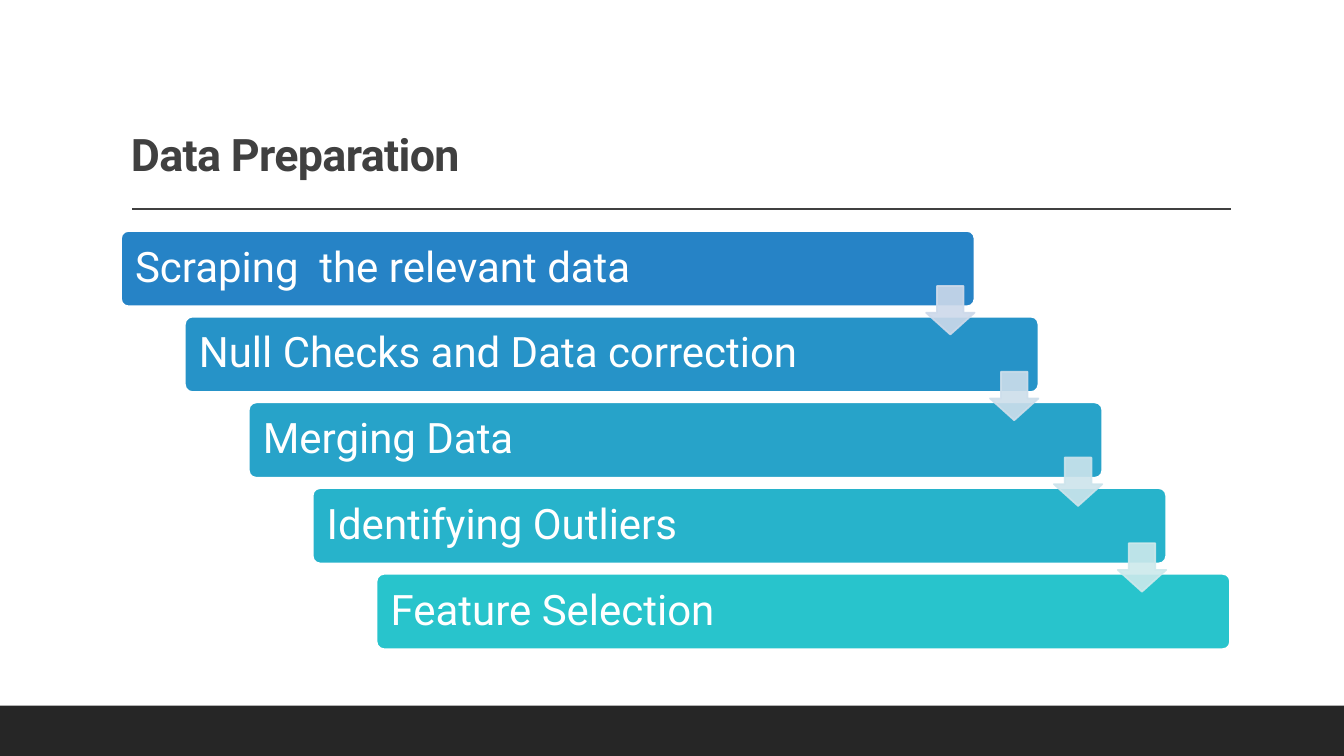
"""Build the Data Preparation slide with its staircase of steps."""
from dataclasses import dataclass

from lxml import etree
from pptx import Presentation
from pptx.dml.color import RGBColor
from pptx.enum import shapes, text
from pptx.oxml import ns
from pptx.shapes.autoshape import Shape
from pptx.slide import Slide
from pptx.util import Cm, Pt


@dataclass(frozen=True)
class Theme:
    """Colours and type sizes of the slide."""

    font: str = "Roboto"
    title_size: float = 32
    step_size: float = 30
    outline: float = 1.25
    rule: float = 1
    white: str = "FFFFFF"
    title: str = "404040"
    footer: str = "262626"
    arrow_opacity: int = 90


@dataclass(frozen=True)
class Step:
    """One bar of the staircase and the arrow leaving it."""

    label: str
    colour: str
    arrow_colour: str | None = None


@dataclass(frozen=True)
class Box:
    """Position and size in centimetres."""

    left: float
    top: float
    width: float
    height: float

    def shifted(self, right: float, down: float) -> "Box":
        """Return the box moved by the given distances."""
        return Box(self.left + right, self.top + down, self.width, self.height)

    def lengths(self) -> tuple[Cm, Cm, Cm, Cm]:
        """Return the four lengths that python-pptx expects."""
        return Cm(self.left), Cm(self.top), Cm(self.width), Cm(self.height)


THEME = Theme()
STEPS = (
    Step("Scraping  the relevant data", "2683C6", "CDD9EA"),
    Step("Null Checks and Data correction", "2693C8", "CDDEEB"),
    Step("Merging Data", "27A3C9", "CDE4EC"),
    Step("Identifying Outliers", "27B3CB", "CDE9EC"),
    Step("Feature Selection", "28C4CC"),
)
TITLE = Box(3.05, 0.8, 27.94, 3.9)
FOOTER = Box(0, 17.78, 33.87, 1.27)
FIRST_BAR = Box(3.05, 5.82, 21.51, 1.9)
FIRST_ARROW = Box(23.34, 7.21, 1.22, 1.22)
STEP_RIGHT, STEP_DOWN = 1.61, 2.16


def add_filled(slide: Slide, kind: shapes.MSO_SHAPE, box: Box, fill: str,
               line: str | None = None) -> Shape:
    """Add a flat preset shape with an optional outline."""
    shape = slide.shapes.add_shape(kind, *box.lengths())
    shape.shadow.inherit = False
    shape.fill.solid()
    shape.fill.fore_color.rgb = RGBColor.from_string(fill)
    if line:
        shape.line.color.rgb = RGBColor.from_string(line)
        shape.line.width = Pt(THEME.outline)
    else:
        shape.line.fill.background()
    return shape


def write(shape: Shape, words: str, size: float, colour: str, bold: bool = False) -> None:
    """Write one left-aligned paragraph into a shape."""
    shape.text_frame.word_wrap = True
    paragraph = shape.text_frame.paragraphs[0]
    paragraph.text = words
    paragraph.alignment = text.PP_ALIGN.LEFT
    paragraph.line_spacing = 0.9
    paragraph.font.name = THEME.font
    paragraph.font.size = Pt(size)
    paragraph.font.bold = bold
    paragraph.font.color.rgb = RGBColor.from_string(colour)


def add_title(slide: Slide, words: str) -> None:
    """Add the tightly spaced heading and the rule below it."""
    title = slide.shapes.add_textbox(*TITLE.lengths())
    title.text_frame.vertical_anchor = text.MSO_ANCHOR.BOTTOM
    write(title, words, THEME.title_size, THEME.title, bold=True)
    run = title.text_frame.paragraphs[0].runs[0]
    run._r.get_or_add_rPr().set("spc", "-50")
    rule = slide.shapes.add_connector(
        shapes.MSO_CONNECTOR.STRAIGHT, Cm(3.33), Cm(5.27), Cm(31.01), Cm(5.27))
    rule.line.color.rgb = RGBColor.from_string(THEME.title)
    rule.line.width = Pt(THEME.rule)
    etree.SubElement(rule._element.spPr, ns.qn("a:effectLst"))


def add_bar(slide: Slide, step: Step, box: Box) -> None:
    """Add one labelled bar."""
    bar = add_filled(slide, shapes.MSO_SHAPE.ROUNDED_RECTANGLE, box, step.colour, THEME.white)
    bar.adjustments[0] = 0.1
    frame = bar.text_frame
    frame.margin_left = frame.margin_right = Cm(0.3)
    frame.margin_top = frame.margin_bottom = Cm(0.3)
    frame.vertical_anchor = text.MSO_ANCHOR.MIDDLE
    write(bar, step.label, THEME.step_size, THEME.white)


def add_arrow(slide: Slide, colour: str, box: Box) -> None:
    """Add one translucent down arrow."""
    arrow = add_filled(slide, shapes.MSO_SHAPE.DOWN_ARROW, box, colour, colour)
    arrow.adjustments[0] = 0.55
    arrow.adjustments[1] = 0.45
    for paint in arrow._element.spPr.iter(ns.qn("a:srgbClr")):
        alpha = etree.SubElement(paint, ns.qn("a:alpha"))
        alpha.set("val", str(THEME.arrow_opacity * 1000))


def main() -> None:
    """Build and save the presentation."""
    presentation = Presentation()
    presentation.slide_width, presentation.slide_height = Cm(33.87), Cm(19.05)
    slide = presentation.slides.add_slide(presentation.slide_layouts[6])
    add_title(slide, "Data Preparation")
    add_filled(slide, shapes.MSO_SHAPE.RECTANGLE, FOOTER, THEME.footer)
    for index, step in enumerate(STEPS):
        add_bar(slide, step, FIRST_BAR.shifted(index * STEP_RIGHT, index * STEP_DOWN))
    for index, step in enumerate(STEPS):
        if step.arrow_colour:
            add_arrow(slide, step.arrow_colour,
                      FIRST_ARROW.shifted(index * STEP_RIGHT, index * STEP_DOWN))
    presentation.save("out.pptx")


if __name__ == "__main__":
    main()
